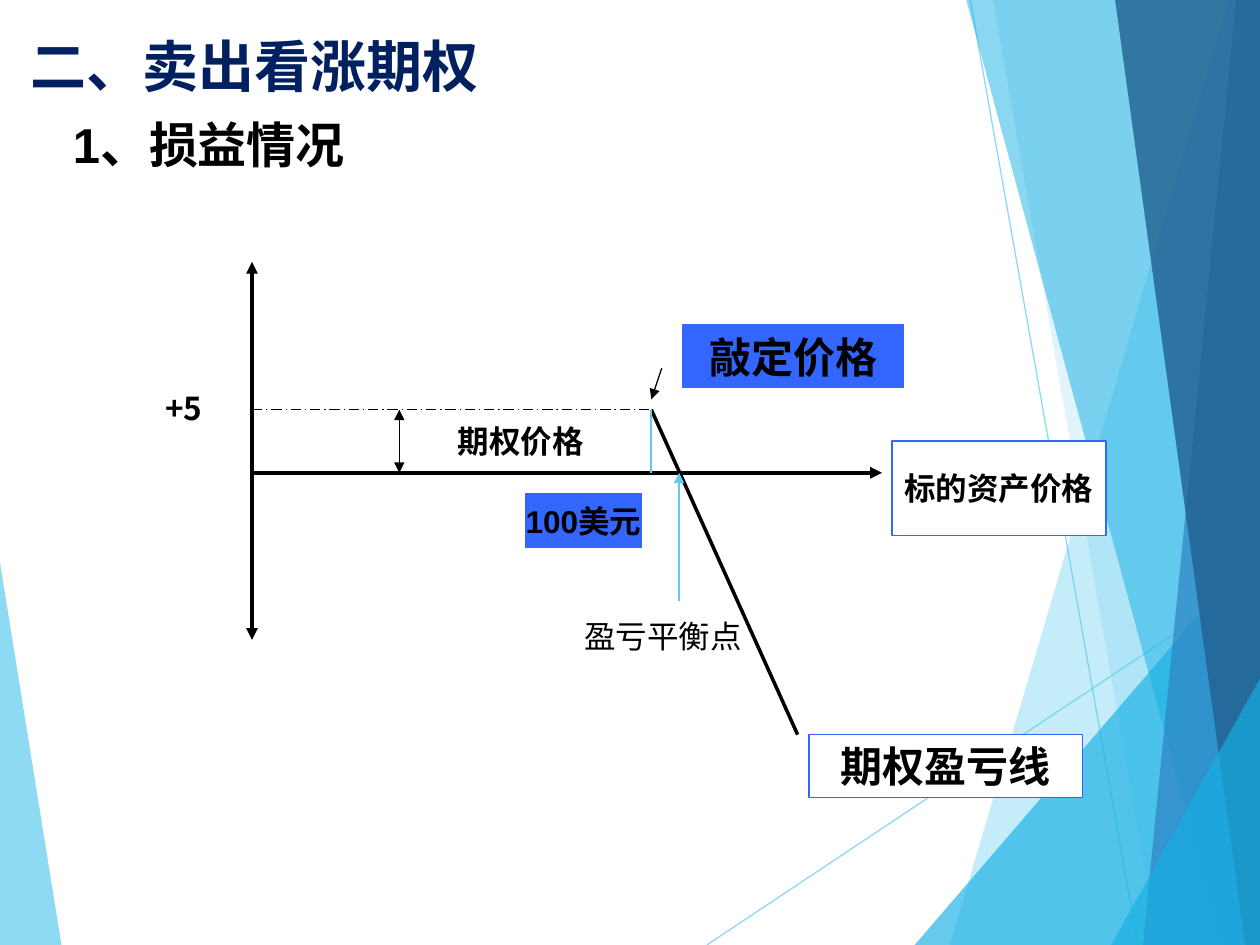
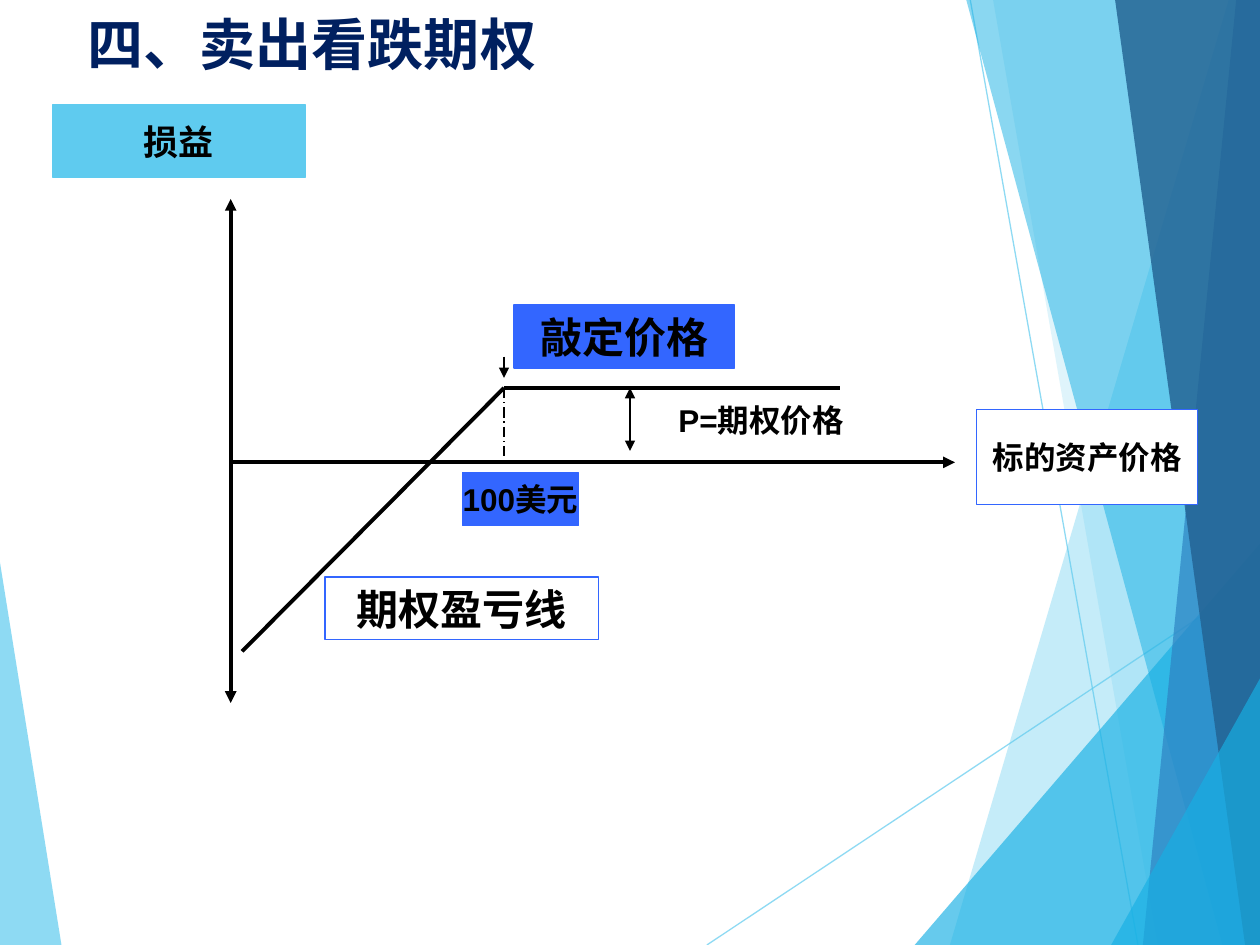
from lxml import etree
from pptx import Presentation
from pptx import util as u
from pptx.dml.color import RGBColor
from pptx.enum import dml, shapes, text
from pptx.oxml.ns import qn

WIDTH, HEIGHT = 25.4, 19.05
EDGE = 25.45

BLACK = RGBColor(0x00, 0x00, 0x00)
WHITE = RGBColor(0xFF, 0xFF, 0xFF)
NAVY = RGBColor(0x00, 0x20, 0x60)
SKY = RGBColor(0x5F, 0xCB, 0xEF)
CYAN = RGBColor(0x17, 0xB0, 0xE4)
BLUE = RGBColor(0x2E, 0x83, 0xC3)
DEEP = RGBColor(0x23, 0x62, 0x92)
ROYAL = RGBColor(0x33, 0x66, 0xFF)

LATIN, CJK = "Arial", "Noto Sans CJK SC"
THIN, MEDIUM, THICK = 0.74, 1, 2.24
DASHED = dml.MSO_LINE.LONG_DASH_DOT
CENTER = text.PP_ALIGN.CENTER


def set_alpha(sp, percent):
    for color in sp.element.iter(qn("a:srgbClr")):
        etree.SubElement(color, qn("a:alpha"), val=str(percent * 1000))


def add_line(s, x1, y1, x2, y2, width=THIN, color=BLACK, dash=None, ends=()):
    c = s.shapes.add_connector(shapes.MSO_CONNECTOR.STRAIGHT,
                               u.Cm(x1), u.Cm(y1), u.Cm(x2), u.Cm(y2))
    c.line.color.rgb = color
    c.line.width = u.Pt(width)
    if dash:
        c.line.dash_style = dash
    for end in ends:
        etree.SubElement(c.get_or_add_ln(), qn(f"a:{end}End"), type="triangle")
    etree.SubElement(c.element.spPr, qn("a:effectLst"))
    return c


def add_run(p, words, size, font=LATIN, color=BLACK, bold=True):
    r = p.add_run()
    r.text = words
    r.font.size = u.Pt(size)
    r.font.name = font
    r.font.bold = bold
    r.font.color.rgb = color
    etree.SubElement(r.font._element, qn("a:ea"), typeface=CJK)


def add_box(s, x, y, w, h, words, size=18, fill=WHITE, border=None,
            font=LATIN, align=CENTER):
    sp = s.shapes.add_shape(shapes.MSO_SHAPE.RECTANGLE,
                            u.Cm(x), u.Cm(y), u.Cm(w), u.Cm(h))
    sp.shadow.inherit = False
    sp.fill.solid()
    sp.fill.fore_color.rgb = fill
    sp.line.color.rgb = border or fill
    sp.line.width = u.Pt(THIN)
    tf = sp.text_frame
    tf.word_wrap = False
    tf.vertical_anchor = text.MSO_ANCHOR.MIDDLE
    p = tf.paragraphs[0]
    p.alignment = align
    add_run(p, words, size, font)


def add_text(s, x, y, w, h, words, size, bold=True):
    tf = s.shapes.add_textbox(u.Cm(x), u.Cm(y), u.Cm(w), u.Cm(h)).text_frame
    tf.word_wrap = False
    add_run(tf.paragraphs[0], words, size, bold=bold)


def add_title(s, x, y, w, h, words, lead=""):
    tf = s.shapes.add_textbox(u.Cm(x), u.Cm(y), u.Cm(w), u.Cm(h)).text_frame
    tf.word_wrap = True
    tf.margin_top = tf.margin_bottom = 0
    p = tf.paragraphs[0]
    if lead:
        add_run(p, lead, 32, "Roboto", SKY, False)
    add_run(p, words, 32, CJK, NAVY)


def add_facet(s, top_x, top_y, bottom_x, edge, color, alpha):
    points = [(bottom_x, HEIGHT), (edge, HEIGHT), (edge, top_y)]
    fb = s.shapes.build_freeform(u.Cm(top_x), u.Cm(top_y))
    fb.add_line_segments([(u.Cm(x), u.Cm(y)) for x, y in points])
    sp = fb.convert_to_shape()
    sp.shadow.inherit = False
    sp.fill.solid()
    sp.fill.fore_color.rgb = color
    sp.line.fill.background()
    set_alpha(sp, alpha)


def add_backdrop(s, layout):
    for ends in ((14.25, HEIGHT, 25.43, 11.61), (19.56, 0, 22.94, HEIGHT)):
        set_alpha(add_line(s, *ends, color=SKY), 70)
    for facet in (
        (-0.03, 11.15, 1.24, -0.03, SKY, 70),
        (24.77, 0, 19.15, EDGE, SKY, 36),
        (20.02, 0, 23.34, EDGE, SKY, 20),
        (EDGE, 10.9, 18.44, EDGE, CYAN, 66),
        (19.48, 0, 24.64, EDGE, CYAN, 50),
        (24.92, 0, 23.04, EDGE, BLUE, 70),
        (22.48, 0, 25.1, EDGE, DEEP, 82),
        (EDGE, 13.59, 22.4, EDGE, CYAN, 66),
    ):
        add_facet(s, *facet)
    for holder in list(layout.placeholders):
        layout.shapes.element.remove(holder.element)
    for sp in list(s.shapes):
        layout.shapes.element.append(sp.element)


def add_axes(s, x, top, bottom, y, right):
    add_line(s, x, top, x, bottom, THICK, ends=("head", "tail"))
    add_line(s, x, y, right, y, THICK, ends=("tail",))


def add_labels(s, strike, payoff, price):
    add_box(s, *strike, 4.45, 1.27, "敲定价格", 24, ROYAL)
    add_box(s, *payoff, 5.51, 1.27, "期权盈亏线", 24, border=ROYAL)
    add_box(s, *price, 2.34, 1.07, "100美元", fill=ROYAL)


def add_short_call(s):
    axis_x, axis_y, premium_y, strike_x, even_x = 5.08, 9.53, 8.26, 13.13, 13.69
    add_title(s, 0.36, 0.64, 17.63, 1.47, "二、卖出看涨期权")
    add_axes(s, axis_x, 5.28, 12.9, axis_y, 17.78)
    add_line(s, axis_x, premium_y, strike_x, premium_y, dash=DASHED)
    add_line(s, 8.05, premium_y, 8.05, axis_y, ends=("head", "tail"))
    add_box(s, 8.69, 8.46, 3.61, 0.84, "期权价格")
    add_labels(s, (13.77, 6.55), (16.31, 14.81), (10.59, 9.96))
    add_box(s, 17.98, 8.89, 4.32, 1.91, "标的资产价格", border=ROYAL,
            align=text.PP_ALIGN.JUSTIFY)
    add_box(s, 2.44, 7.59, 2.54, 1.27, "+5", font=CJK)
    add_line(s, strike_x, premium_y, 16.08, 14.81, 2)
    add_line(s, 13.34, 7.42, strike_x, 8.05, ends=("tail",))
    add_text(s, 1.22, 2.18, 6.22, 1.45, "1、损益情况", 28)
    add_line(s, even_x, 12.12, even_x, axis_y, MEDIUM, SKY, ends=("tail",))
    add_text(s, 11.53, 12.32, 3.68, 1.02, "盈亏平衡点", 18, False)
    add_line(s, strike_x, premium_y, strike_x, axis_y, MEDIUM, SKY)


def add_short_put(s):
    axis_x, axis_y, premium_y, strike_x = 4.65, 9.32, 7.82, 10.16
    add_title(s, 1.27, 0.2, 15.9, 1.07, "四、卖出看跌期权", " ")
    add_axes(s, axis_x, 4.01, 14.17, axis_y, 19.25)
    add_box(s, 1.07, 2.11, 5.08, 1.47, "损益", 20, SKY)
    add_labels(s, (10.36, 6.15), (6.55, 11.63), (9.32, 9.53))
    add_line(s, 12.7, premium_y, 12.7, 9.09, ends=("head", "tail"))
    add_box(s, 13.54, 8.05, 3.61, 0.84, "P=期权价格")
    add_box(s, 19.69, 8.26, 4.45, 1.91, "标的资产价格", border=ROYAL)
    add_line(s, 4.88, 13.13, strike_x, premium_y, THICK)
    add_line(s, strike_x, premium_y, 16.94, premium_y, THICK)
    add_line(s, strike_x, premium_y, strike_x, axis_y, dash=DASHED)
    add_line(s, strike_x, 7.19, strike_x, 7.62, ends=("tail",))


def main():
    prs = Presentation()
    prs.slide_width, prs.slide_height = u.Cm(WIDTH), u.Cm(HEIGHT)
    blank = prs.slide_layouts[6]
    call, put = [prs.slides.add_slide(blank) for _ in range(2)]
    add_backdrop(call, blank)
    add_short_call(call)
    add_short_put(put)
    prs.save("out.pptx")


main()
